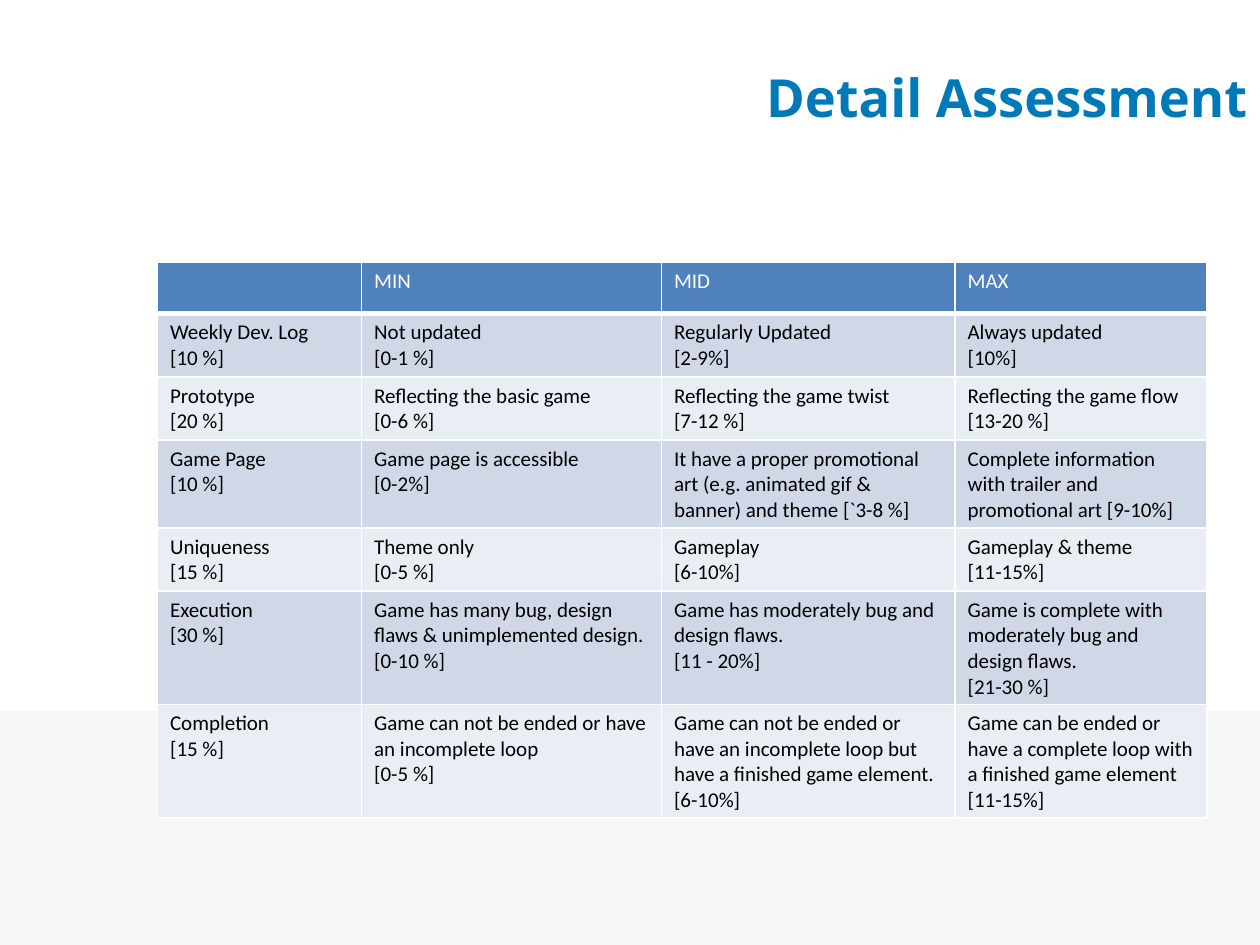
"""Build the Detail Assessment slide with its grading rubric table."""
from lxml.etree import SubElement
from pptx import Presentation
from pptx.dml.color import RGBColor
from pptx.enum.shapes import MSO_SHAPE
from pptx.enum.text import MSO_ANCHOR, PP_ALIGN
from pptx.oxml.ns import qn
from pptx.util import Inches, Pt

TITLE = "Detail Assessment"
RUBRIC = [
    ["", "MIN", "MID", "MAX"],
    ["Weekly Dev. Log\n[10 %]", "Not updated\n[0-1 %]",
     "Regularly Updated\n[2-9%]", "Always updated\n[10%]"],
    ["Prototype\n[20 %]", "Reflecting the basic game\n[0-6 %]",
     "Reflecting the game twist\n[7-12 %]", "Reflecting the game flow [13-20 %]"],
    ["Game Page\n[10 %]", "Game page is accessible\n[0-2%]",
     "It have a proper promotional art (e.g. animated gif & banner) and theme [`3-8 %]",
     "Complete information with trailer and promotional art [9-10%]"],
    ["Uniqueness\n[15 %]", "Theme only\n[0-5 %]",
     "Gameplay\n[6-10%]", "Gameplay & theme\n[11-15%]"],
    ["Execution\n[30 %]",
     "Game has many bug, design flaws & unimplemented design.\n[0-10 %]",
     "Game has moderately bug and design flaws.\n[11 - 20%]",
     "Game is complete with moderately bug and design flaws.\n[21-30 %]"],
    ["Completion\n[15 %]",
     "Game can not be ended or have an incomplete loop\n[0-5 %]",
     "Game can not be ended or have an incomplete loop but have a finished game element.\n[6-10%]",
     "Game can be ended or have a complete loop with a finished game element\n[11-15%]"],
]
COLUMN_WIDTHS = [1.62, 2.38, 2.33, 2]
ROW_HEIGHT = 0.41

WHITE = RGBColor(0xFF, 0xFF, 0xFF)
BLACK = RGBColor(0x00, 0x00, 0x00)
TITLE_BLUE = RGBColor(0x00, 0x79, 0xB8)
HEADER_BLUE = RGBColor(0x4F, 0x81, 0xBD)
BANDS = [RGBColor(0xE9, 0xED, 0xF4), RGBColor(0xD0, 0xD8, 0xE8)]
FOOTER_GREY = RGBColor(0xF7, 0xF7, 0xF7)


def add_run(paragraph, text, font_name, size, color, bold=False):
    run = paragraph.add_run()
    run.text = text
    run.font.name = font_name
    run.font.size = Pt(size)
    run.font.bold = bold
    run.font.color.rgb = color


def add_borders(cell, bottom_width):
    properties = cell._tc.get_or_add_tcPr()
    for side, width in (("L", 1), ("R", 1), ("T", 1), ("B", bottom_width)):
        border = SubElement(properties, qn(f"a:ln{side}"), w=str(Pt(width)))
        fill = SubElement(border, qn("a:solidFill"))
        SubElement(fill, qn("a:srgbClr"), val=str(WHITE))


def fill_cell(cell, text, is_header, background):
    add_borders(cell, 3 if is_header else 1)
    cell.fill.solid()
    cell.fill.fore_color.rgb = background
    frame = cell.text_frame
    for index, line in enumerate(text.split("\n") if text else []):
        paragraph = frame.add_paragraph() if index else frame.paragraphs[0]
        add_run(paragraph, line, "Calibri", 12, WHITE if is_header else BLACK)


def add_rubric(slide):
    rubric = slide.shapes.add_table(
        len(RUBRIC), len(COLUMN_WIDTHS), Inches(1.25), Inches(2.08),
        Inches(sum(COLUMN_WIDTHS)), Inches(ROW_HEIGHT * len(RUBRIC))).table
    for column, width in zip(rubric.columns, COLUMN_WIDTHS):
        column.width = Inches(width)
    for row_index, texts in enumerate(RUBRIC):
        rubric.rows[row_index].height = Inches(ROW_HEIGHT)
        background = BANDS[row_index % 2] if row_index else HEADER_BLUE
        for column_index, text in enumerate(texts):
            fill_cell(rubric.cell(row_index, column_index), text,
                      row_index == 0, background)


def main():
    deck = Presentation()
    deck.slide_width, deck.slide_height = Inches(10), Inches(7.5)
    slide = deck.slides.add_slide(deck.slide_layouts[6])

    footer = slide.shapes.add_shape(
        MSO_SHAPE.RECTANGLE, 0, Inches(5.64), deck.slide_width, Inches(1.86))
    footer.shadow.inherit = False
    footer.fill.solid()
    footer.fill.fore_color.rgb = FOOTER_GREY
    footer.line.fill.background()

    heading = slide.shapes.add_textbox(
        0, Inches(0.33), deck.slide_width, Inches(0.87)).text_frame
    heading.word_wrap = True
    heading.vertical_anchor = MSO_ANCHOR.MIDDLE
    heading.paragraphs[0].alignment = PP_ALIGN.RIGHT
    add_run(heading.paragraphs[0], TITLE, "Open Sans", 30, TITLE_BLUE, bold=True)

    add_rubric(slide)
    deck.save("out.pptx")


if __name__ == "__main__":
    main()
